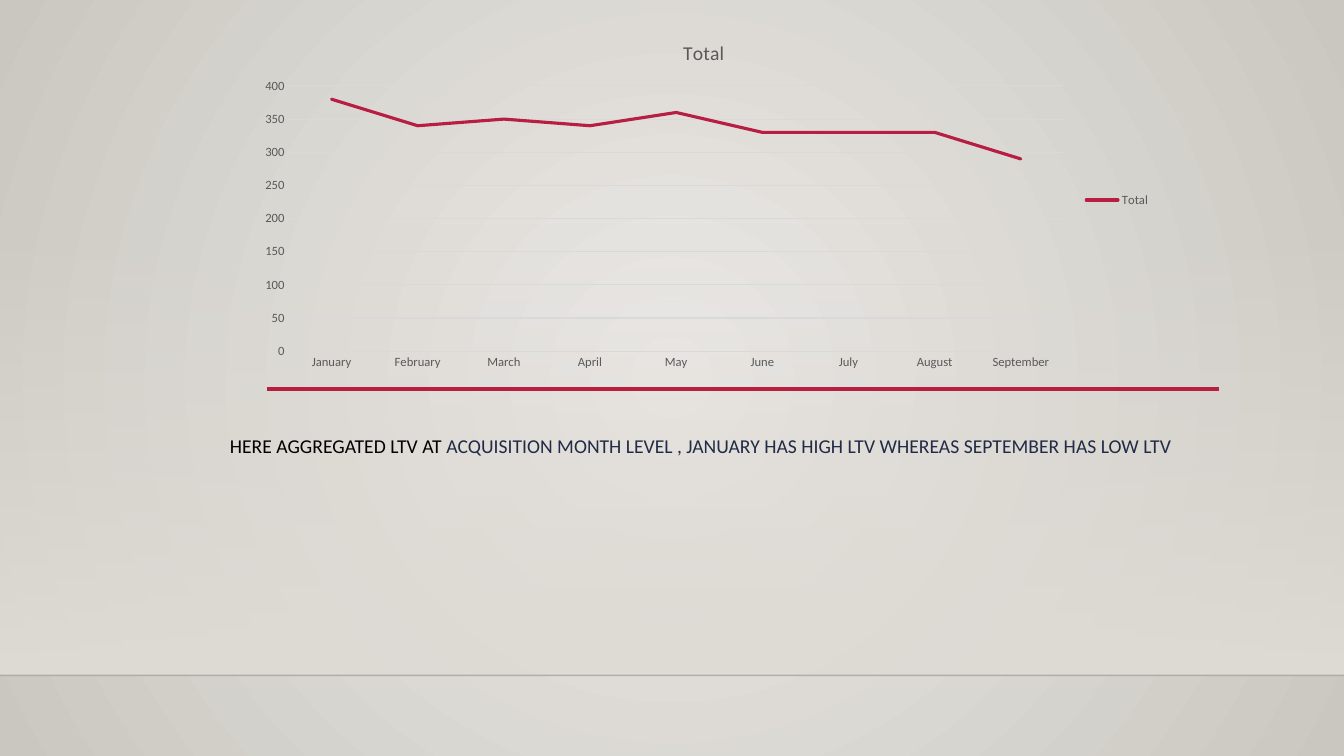
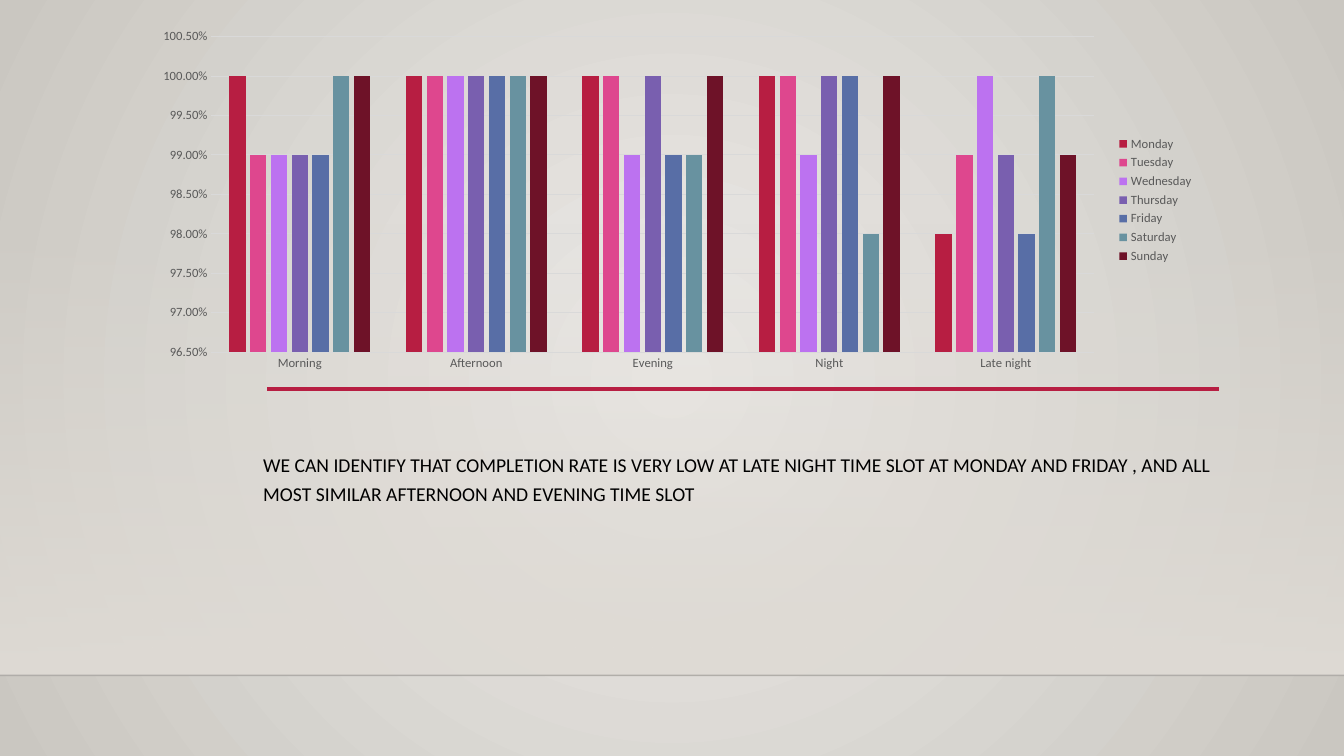
from lxml import etree
from pptx import Presentation
from pptx.chart.data import CategoryChartData
from pptx.dml.color import RGBColor
from pptx.enum import chart as ch, shapes as sh, text as tx
from pptx.oxml import ns
from pptx.util import Inches, Pt

FONT = "Calibri"
RED = RGBColor(0xB7, 0x1E, 0x42)
BLACK = RGBColor(0, 0, 0)
NAVY = RGBColor(0x20, 0x2B, 0x45)
GRAY = RGBColor(0x59, 0x59, 0x59)
GRID = RGBColor(0xD9, 0xD9, 0xD9)
EDGE = RGBColor(0, 0, 1)
SAND = RGBColor(0xDF, 0xDB, 0xD5)
PALE = RGBColor(0xEC, 0xEA, 0xE7)
DUSK = RGBColor(0xCA, 0xC7, 0xC1)
DAYS = [RED, RGBColor(0xDE, 0x47, 0x8E), RGBColor(0xBC, 0x72, 0xF0),
        RGBColor(0x79, 0x5F, 0xAF), RGBColor(0x58, 0x6E, 0xA6),
        RGBColor(0x68, 0x92, 0xA0), RGBColor(0x6E, 0x12, 0x28)]

MONTHS = ["January", "February", "March", "April", "May", "June", "July",
          "August", "September"]
TOTAL = {"Total": [380, 340, 350, 340, 360, 330, 330, 330, 290]}
SLOTS = ["Morning", "Afternoon", "Evening", "Night", "Late night"]
RATES = {
    "Monday": [1, 1, 1, 1, 0.98],
    "Tuesday": [0.99, 1, 1, 1, 0.99],
    "Wednesday": [0.99, 1, 0.99, 0.99, 1],
    "Thursday": [0.99, 1, 1, 1, 0.99],
    "Friday": [0.99, 1, 0.99, 1, 0.98],
    "Saturday": [1, 1, 0.99, 0.98, 1],
    "Sunday": [1, 1, 1, 1, 0.99],
}


def sub(node, tag, **attrs):
    """Append a DrawingML child to a node."""
    return etree.SubElement(node, ns.qn("a:" + tag), attrs)


def blend(fill, root, stops):
    """Turn a fill into a gradient and return its element."""
    fill.gradient()
    grad = next(root.iter(ns.qn("a:gradFill")))
    for kid in list(grad):
        grad.remove(kid)
    group = sub(grad, "gsLst")
    for pos, color, alpha in stops:
        stop = sub(group, "gs", pos=str(pos * 1000))
        paint = sub(stop, "srgbClr", val=str(color))
        sub(paint, "alpha", val=str(alpha * 1000))
    return grad


def rule(slide, left, right, top, color, width):
    """Draw a flat horizontal line."""
    line = slide.shapes.add_connector(
        sh.MSO_CONNECTOR.STRAIGHT, Inches(left), Inches(top),
        Inches(right), Inches(top))
    line.line.color.rgb = color
    line.line.width = Pt(width)
    sub(line._element.spPr, "effectLst")
    return line


def backdrop(master):
    """Give the master its radial background."""
    grad = blend(master.background.fill, master.element,
                 [(0, PALE, 100), (100, DUSK, 100)])
    path = sub(grad, "path", path="circle")
    sub(path, "fillToRect", l="50000", t="50000", r="50000", b="50000")


def decor(slide):
    """Build the floor band and rules and move them to the layout."""
    band = slide.shapes.add_shape(
        sh.MSO_SHAPE.RECTANGLE, 0, Inches(2.21), Inches(13.33), Inches(4.49))
    band.shadow.inherit = False
    band.line.fill.background()
    grad = blend(band.fill, band._element, [(0, SAND, 0), (100, SAND, 100)])
    sub(grad, "lin", ang="5400000", scaled="0")
    edge = rule(slide, 0, 13.33, 6.7, EDGE, 1)
    paint = next(edge._element.spPr.iter(ns.qn("a:srgbClr")))
    sub(paint, "alpha", val="20000")
    accent = rule(slide, 2.65, 12.09, 3.86, RED, 2.5)
    tree = slide.slide_layout.shapes._spTree
    for spot, part in enumerate([band, edge, accent], 2):
        tree.insert(spot, part._element)


def style(font, size, color):
    """Set the font, size and colour in regular weight."""
    font.name = FONT
    font.size = Pt(size)
    font.bold = False
    font.color.rgb = color


def caption(slide, box, parts):
    """Place the finding, given as pairs of text and colour."""
    title = slide.shapes.title
    title.left, title.top, title.width, title.height = map(Inches, box)
    frame = title.text_frame
    frame.word_wrap = True
    frame.auto_size = tx.MSO_AUTO_SIZE.NONE
    frame.vertical_anchor = tx.MSO_ANCHOR.TOP
    frame.margin_left = frame.margin_right = Inches(0.1)
    frame.margin_top = frame.margin_bottom = Inches(0.1)
    para = frame.paragraphs[0]
    para.alignment = tx.PP_ALIGN.LEFT
    para.line_spacing = 1.2
    for words, color in parts:
        run = para.add_run()
        run.text = words
        style(run.font, 14, color)


def graph(slide, box, kind, cats, rows, scale, form):
    """Place a chart with the shared axes and legend."""
    data = CategoryChartData(number_format=form)
    data.categories = cats
    for name, vals in rows.items():
        data.add_series(name, vals)
    chart = slide.shapes.add_chart(kind, *map(Inches, box), data).chart
    style(chart.font, 10, BLACK)
    chart.has_title = False
    chart.has_legend = True
    chart.legend.position = ch.XL_LEGEND_POSITION.RIGHT
    chart.legend.include_in_layout = False
    style(chart.legend.font, 9, GRAY)
    across, up = chart.category_axis, chart.value_axis
    for axis in (across, up):
        axis.major_tick_mark = axis.minor_tick_mark = ch.XL_TICK_MARK.NONE
        style(axis.tick_labels.font, 9, GRAY)
    up.minimum_scale, up.maximum_scale, up.major_unit = scale
    up.tick_labels.number_format = form
    up.tick_labels.number_format_is_linked = False
    up.format.line.fill.background()
    for line in (across.format.line, up.major_gridlines.format.line):
        line.color.rgb = GRID
        line.width = Pt(0.75)
    chart.plots[0].vary_by_categories = False
    return chart


def trend(slide):
    """Fill the slide on value by month."""
    chart = graph(slide, (2.45, 0.23, 9.06, 3.51), ch.XL_CHART_TYPE.LINE,
                  MONTHS, TOTAL, (0, 400, 50), "General")
    chart.has_title = True
    frame = chart.chart_title.text_frame
    frame.text = "Total"
    style(frame.paragraphs[0].runs[0].font, 14, GRAY)
    row = chart.plots[0].series[0]
    row.smooth = False
    row.marker.style = ch.XL_MARKER_STYLE.NONE
    row.format.line.color.rgb = RED
    row.format.line.width = Pt(2.25)
    next(row._element.iter(ns.qn("a:ln"))).set("cap", "rnd")
    caption(slide, (2.18, 4.16, 9.82, 1.07), [
        ("HERE AGGREGATED LTV AT ", BLACK),
        ("ACQUISITION MONTH LEVEL , JANUARY HAS HIGH LTV WHEREAS "
         "SEPTEMBER HAS LOW LTV", NAVY)])


def slots(slide):
    """Fill the slide on completion by time slot."""
    chart = graph(slide, (1.41, 0.22, 10.53, 3.53),
                  ch.XL_CHART_TYPE.COLUMN_CLUSTERED, SLOTS, RATES,
                  (0.965, 1.005, 0.005), "0.00%")
    plot = chart.plots[0]
    plot.gap_width = 219
    plot.overlap = -27
    for row, color in zip(plot.series, DAYS):
        row.format.fill.solid()
        row.format.fill.fore_color.rgb = color
    caption(slide, (2.51, 4.35, 9.79, 1.07), [
        ("WE CAN IDENTIFY THAT COMPLETION RATE IS VERY LOW AT LATE NIGHT "
         "TIME SLOT AT MONDAY AND FRIDAY , AND ALL MOST SIMILAR AFTERNOON "
         "AND EVENING TIME SLOT", BLACK)])


def main():
    """Build and save the deck."""
    deck = Presentation()
    deck.slide_width, deck.slide_height = Inches(13.33), Inches(7.5)
    backdrop(deck.slide_master)
    layout = deck.slide_layouts.get_by_name("Title Only")
    first, second = [deck.slides.add_slide(layout) for _ in range(2)]
    decor(first)
    trend(first)
    slots(second)
    deck.save("out.pptx")


if __name__ == "__main__":
    main()
